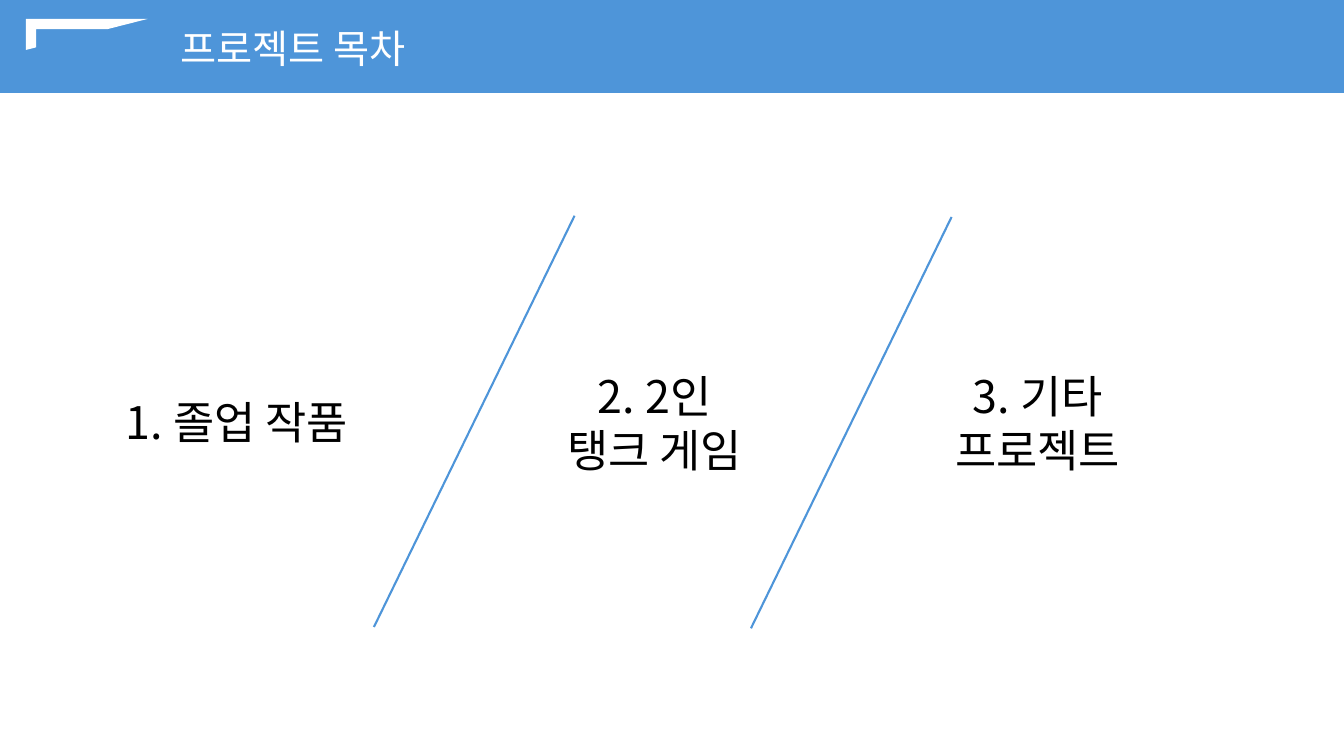
import pptx
import pptx.util
import pptx.dml.color
import pptx.enum.shapes
import pptx.enum.text
import pptx.oxml.ns
import lxml.etree

Pt = pptx.util.Pt
SHAPES = pptx.enum.shapes.MSO_SHAPE
ALIGN = pptx.enum.text.PP_ALIGN

FONT = "Noto Sans CJK KR"
BLUE = "4E95D9"
WHITE = "FFFFFF"
BLACK = "000000"


def color(hex_string):
    return pptx.dml.color.RGBColor.from_string(hex_string)


def add_filled_shape(slide, kind, left, top, width, height, fill):
    shape = slide.shapes.add_shape(kind, Pt(left), Pt(top), Pt(width), Pt(height))
    shape.shadow.inherit = False
    shape.fill.solid()
    shape.fill.fore_color.rgb = color(fill)
    shape.line.fill.background()


def add_text(slide, text, left, top, width, height, size, text_color, alignment=ALIGN.LEFT):
    box = slide.shapes.add_textbox(Pt(left), Pt(top), Pt(width), Pt(height))
    frame = box.text_frame
    frame.word_wrap = True
    frame.auto_size = pptx.enum.text.MSO_AUTO_SIZE.SHAPE_TO_FIT_TEXT
    frame.text = text
    for paragraph in frame.paragraphs:
        paragraph.alignment = alignment
        for run in paragraph.runs:
            run.font.size = Pt(size)
            run.font.name = FONT
            run.font.color.rgb = color(text_color)
            # Korean letters take the East Asian typeface
            east_asian = lxml.etree.SubElement(run.font._element, pptx.oxml.ns.qn("a:ea"))
            east_asian.set("typeface", FONT)


def add_divider(slide, left, top, width, height):
    line = slide.shapes.add_connector(
        pptx.enum.shapes.MSO_CONNECTOR.STRAIGHT,
        Pt(left + width), Pt(top), Pt(left), Pt(top + height))
    line.line.color.rgb = color(BLUE)
    line.line.width = Pt(1.5)
    lxml.etree.SubElement(line._element.spPr, pptx.oxml.ns.qn("a:effectLst"))


def main():
    presentation = pptx.Presentation()
    presentation.slide_width = Pt(960)
    presentation.slide_height = Pt(540)
    slide = presentation.slides.add_slide(presentation.slide_layouts[6])

    # Title band
    add_filled_shape(slide, SHAPES.RECTANGLE, 0, 0, 960, 66.4, BLUE)
    add_filled_shape(slide, SHAPES.HALF_FRAME, 18.5, 13.5, 87, 22.2, WHITE)
    add_text(slide, "프로젝트 목차", 121.7, 13.7, 388.8, 41.2, 28, WHITE)

    # Contents
    add_text(slide, "1. 졸업 작품", 82.8, 278.6, 192.2, 46, 32, BLACK)
    for left, text in ((386.6, "2. 2인\n탱크 게임"), (660.2, "3. 기타\n프로젝트")):
        add_text(slide, text, left, 259.9, 162, 85, 32, BLACK, ALIGN.CENTER)

    # Slanted dividers
    for left, top in ((267.1, 154.1), (536.4, 155)):
        add_divider(slide, left, top, 143.3, 293.8)

    presentation.save("out.pptx")


if __name__ == "__main__":
    main()
